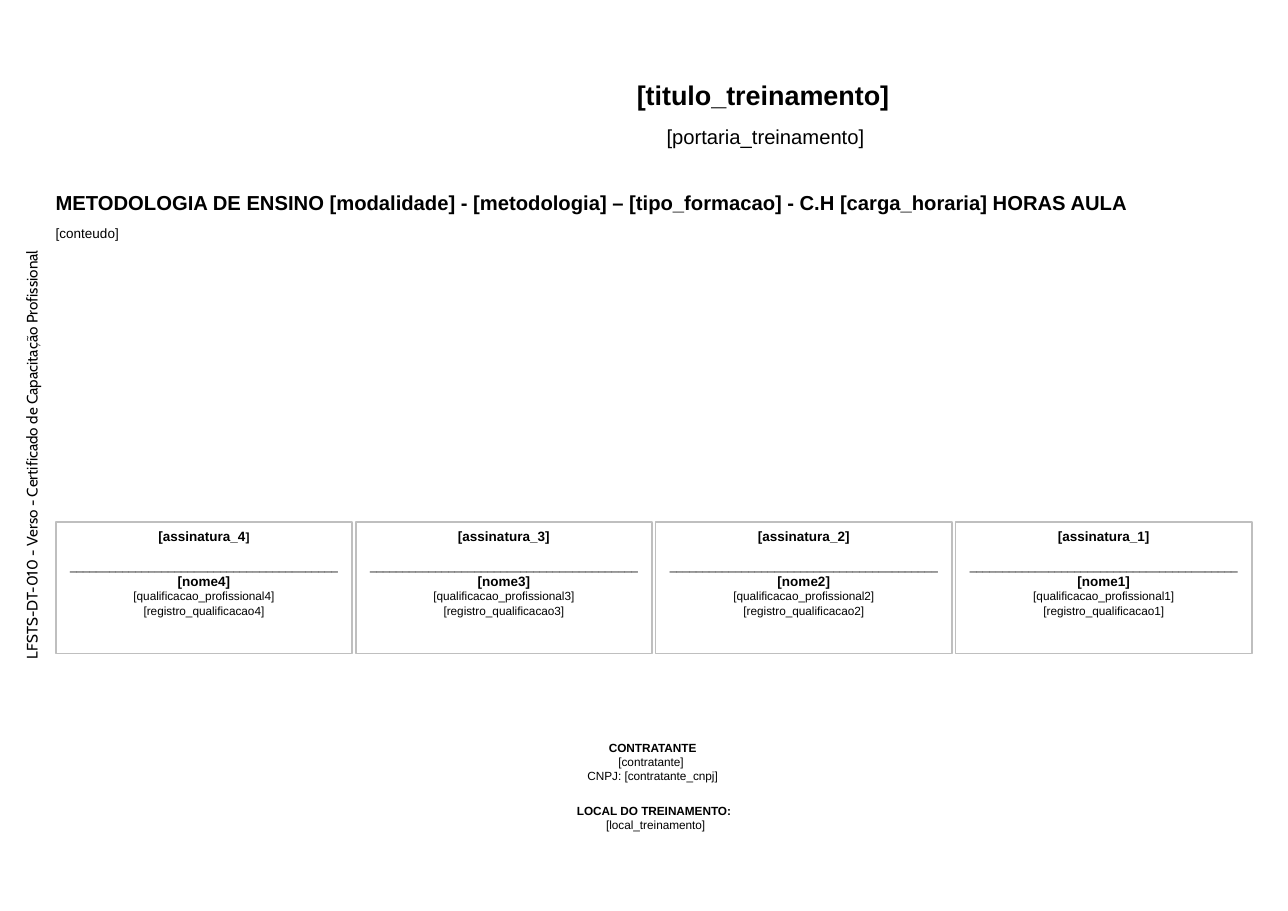
from pptx import Presentation
from pptx.dml.color import RGBColor
from pptx.enum.shapes import MSO_SHAPE
from pptx.enum.text import MSO_ANCHOR, PP_ALIGN
from pptx.util import Emu, Pt

PX = 9144  # 100 px to the inch
SLIDE_WIDTH = Emu(9699625)
SLIDE_HEIGHT = Emu(6858000)
BLACK = RGBColor(0x00, 0x00, 0x00)
GREY = RGBColor(0xBF, 0xBF, 0xBF)

SIGNATURES = 4
SIGNATURE_PITCH = 247


def emu(box):
    return [length * PX for length in box]


def write(frame, lines, align=PP_ALIGN.CENTER, font="Arial"):
    """Fill a frame with lines, each a list of (text, size, bold) runs."""
    frame.word_wrap = True
    frame.vertical_anchor = MSO_ANCHOR.TOP
    for index, runs in enumerate(lines):
        paragraph = frame.add_paragraph() if index else frame.paragraphs[0]
        paragraph.alignment = align
        for text, size, bold in runs:
            run = paragraph.add_run()
            run.text = text
            run.font.name = font
            run.font.size = Pt(size)
            run.font.bold = bold
            run.font.color.rgb = BLACK


def add_text(slide, box, lines, **style):
    label = slide.shapes.add_textbox(*emu(box))
    write(label.text_frame, lines, **style)
    return label


def add_document_code(slide, box):
    code = add_text(
        slide, box,
        [[("LFSTS-DT-010 - Verso - Certificado de Capacitação Profissional", 9, False)]],
        align=PP_ALIGN.LEFT, font="Cabin")
    code.rotation = 270


def add_header(slide, box):
    left, top, width, height = box
    add_text(slide, (left, top, width, 37), [[("[titulo_treinamento]", 16, True)]])
    add_text(slide, (left, top + 37, width + 4, height - 37),
             [[("[portaria_treinamento]", 12, False)]])


def add_course(slide, box):
    left, top, width, height = box
    add_text(slide, (left, top, width, 30), [[
        ("METODOLOGIA DE ENSINO [modalidade] - [metodologia] – [tipo_formacao]", 12, True),
        (" ", 9, True),
        ("- C.H [carga_horaria] HORAS AULA", 12, True),
    ]], align=PP_ALIGN.LEFT)
    add_text(slide, (left, top + 28, width, height - 28),
             [[("[conteudo]", 8, False)]], align=PP_ALIGN.LEFT)


def add_signature(slide, box, number, bracket_size):
    frame = slide.shapes.add_shape(MSO_SHAPE.RECTANGLE, *emu(box))
    frame.shadow.inherit = False
    frame.fill.background()
    frame.line.color.rgb = GREY
    frame.line.width = Pt(1)
    write(frame.text_frame, [
        [(f"[assinatura_{number}", 8, True), ("]", bracket_size, True)],
        [("_" * 41, 7, False)],
        [(f"[nome{number}]", 8, True)],
        [(f"[qualificacao_profissional{number}]", 7, False)],
        [(f"[registro_qualificacao{number}]", 7, False)],
    ])
    frame.text_frame.paragraphs[1].space_before = Pt(8.5)


def add_signatures(slide, box):
    left, top, width, height = box
    frame_width = width - SIGNATURE_PITCH * (SIGNATURES - 1)
    for column in range(SIGNATURES):
        add_signature(slide, (left + column * SIGNATURE_PITCH, top, frame_width, height),
                      SIGNATURES - column, 8 if column else 7)


def add_client(slide, box):
    left, top, width, height = box
    add_text(slide, (left + 91, top, 297, 45), [
        [("CONTRATANTE", 7, True)],
        [("[contratante] ", 7, False)],
        [("CNPJ: [contratante_cnpj]", 7, False)],
    ])
    add_text(slide, (left, top + 52, width, height - 52), [
        [("LOCAL DO TREINAMENTO: ", 7, True)],
        [("[local_treinamento]", 7, False)],
    ])


def main():
    deck = Presentation()
    deck.slide_width = SLIDE_WIDTH
    deck.slide_height = SLIDE_HEIGHT
    slide = deck.slides.add_slide(deck.slide_layouts[6])
    add_document_code(slide, (-193, 321, 438, 25))
    add_header(slide, (248, 60, 761, 68))
    add_course(slide, (36, 152, 995, 276))
    add_signatures(slide, (46, 430, 985, 108))
    add_client(slide, (298, 605, 484, 86))
    deck.save("out.pptx")


if __name__ == "__main__":
    main()
